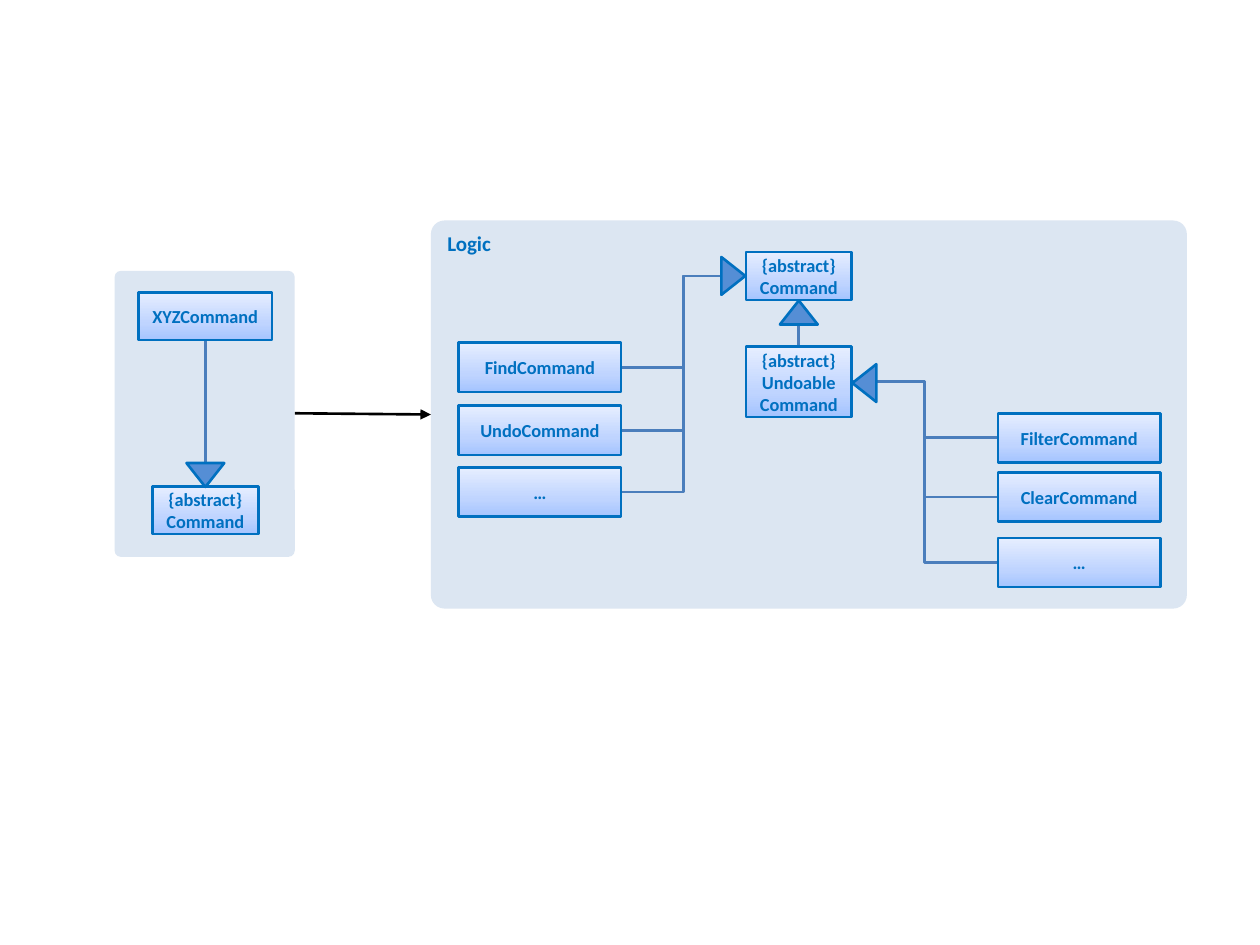
import copy
from dataclasses import dataclass

import pptx
import pptx.dml.color
import pptx.enum.dml
import pptx.enum.shapes
import pptx.enum.text
import pptx.oxml
import pptx.oxml.ns
import pptx.util

SHAPE = pptx.enum.shapes.MSO_SHAPE
CONNECTOR = pptx.enum.shapes.MSO_CONNECTOR
ALIGN = pptx.enum.text.PP_ALIGN
ANCHOR = pptx.enum.text.MSO_ANCHOR
RIGHT, DOWN, LEFT, UP = 90, 180, 270, 0


@dataclass(frozen=True)
class Theme:
    """Colours, type sizes and line width of the diagram."""
    panel: str = "DCE6F2"
    accent: str = "0070C0"
    head: str = "558ED5"
    link: str = "4B7EBC"
    arrow: str = "000000"
    gradient: tuple = ((0, "A4C4FF"), (0.35, "BFD4FF"), (1, "E6EEFF"))
    font: str = "Calibri"
    title: float = 12
    label: float = 10.5
    stroke: float = 1.5


THEME = Theme()


def grid(*cells):
    """Turn grid cells (100 columns by 75 rows on the slide) into lengths."""
    return [pptx.util.Inches(cell / 10) for cell in cells]


def rgb(code):
    """Give the colour object of a hex code."""
    return pptx.dml.color.RGBColor.from_string(code)


def apply(target, values):
    """Set attributes from a dict of format values."""
    for name, value in values.items():
        setattr(target, name, value)


def paint(shape, fill=None, outline=None):
    """Give a shape its plain fill and outline, without a shadow."""
    shape.shadow.inherit = False
    if fill:
        shape.fill.solid()
        shape.fill.fore_color.rgb = rgb(fill)
    if outline:
        shape.line.color.rgb = rgb(outline)
        shape.line.width = pptx.util.Pt(THEME.stroke)
    else:
        shape.line.fill.background()


def write(shape, wording, size, align, anchor):
    """Put bold accent text in a shape."""
    apply(shape.text_frame, {"text": wording, "word_wrap": True,
                             "vertical_anchor": anchor})
    for paragraph in shape.text_frame.paragraphs:
        paragraph.alignment = align
        for run in paragraph.runs:
            apply(run.font, {"name": THEME.font, "size": pptx.util.Pt(size),
                             "bold": True})
            run.font.color.rgb = rgb(THEME.accent)


def add_panel(slide, left, top, width, height, title=None):
    """Add a pale rounded panel, with a title if one is given."""
    panel = slide.shapes.add_shape(SHAPE.ROUNDED_RECTANGLE,
                                   *grid(left, top, width, height))
    panel.adjustments[0] = 0.035
    paint(panel, THEME.panel)
    if title:
        write(panel, title, THEME.title, ALIGN.LEFT, ANCHOR.TOP)


def add_class(slide, name, left, top, width, height):
    """Add a class box with a vertical gradient."""
    box = slide.shapes.add_shape(SHAPE.RECTANGLE,
                                 *grid(left, top, width, height))
    paint(box, outline=THEME.accent)
    box.fill.gradient()
    box.fill.gradient_angle = 90
    stop_list = next(box._element.iter(pptx.oxml.ns.qn("a:gsLst")))
    stop_list.append(copy.deepcopy(stop_list[0]))
    for stop, (position, code) in zip(box.fill.gradient_stops, THEME.gradient):
        stop.position = position
        stop.color.rgb = rgb(code)
    write(box, name, THEME.label, ALIGN.CENTER, ANCHOR.MIDDLE)


def add_head(slide, centre_x, centre_y, direction):
    """Add an inheritance triangle around its centre."""
    width, height = 3, 1.9
    head = slide.shapes.add_shape(
        SHAPE.ISOSCELES_TRIANGLE,
        *grid(centre_x - width / 2, centre_y - height / 2, width, height))
    head.rotation = direction
    paint(head, THEME.head, THEME.accent)


def add_link(slide, start, end, kind=CONNECTOR.ELBOW, color=THEME.link):
    """Add a connector between two grid points."""
    link = slide.shapes.add_connector(kind, *grid(*start, *end))
    link.line.color.rgb = rgb(color)
    link.line.width = pptx.util.Pt(THEME.stroke)
    link._element.spPr.append(pptx.oxml.parse_xml(
        "<a:effectLst %s/>" % pptx.oxml.ns.nsdecls("a")))
    return link


def add_arrow(slide, tip, origin):
    """Add a black arrow that points at its tip."""
    arrow = add_link(slide, tip, origin, CONNECTOR.STRAIGHT, THEME.arrow)
    arrow.line._get_or_add_ln().append(pptx.oxml.parse_xml(
        '<a:headEnd %s type="triangle"/>' % pptx.oxml.ns.nsdecls("a")))


def add_subclasses(slide, names, left, tops, parent, side):
    """Add a column of subclasses, each linked to its parent point."""
    width, height = 12.9, 3.9
    for name, top in zip(names, tops):
        add_link(slide, parent, (left + width * side, top + height / 2))
        add_class(slide, name, left, top, width, height)


def main():
    """Build the command class diagram."""
    deck = pptx.Presentation()
    apply(deck, {"slide_width": pptx.util.Inches(10),
                 "slide_height": pptx.util.Inches(7.5)})
    slide = deck.slides.add_slide(deck.slide_layouts[6])

    add_panel(slide, 9.1, 21.5, 14.3, 22.7)
    add_panel(slide, 34.2, 17.5, 60, 30.8, "Logic")

    add_subclasses(slide, ("FindCommand", "UndoCommand", "…"), 36.4,
                   (27.2, 32.2, 37.1), (59.2, 21.9), side=1)
    add_subclasses(slide, ("FilterCommand", "ClearCommand", "…"), 79.2,
                   (32.8, 37.5, 42.7), (67.6, 30.3), side=0)
    for child, parent in (((63.4, 27.5), (63.4, 23.8)),
                          ((16.3, 27), (16.3, 36.8))):
        add_link(slide, child, parent, CONNECTOR.STRAIGHT)

    command = "{abstract}\vCommand"
    for name, *place in (
            (command, 59.2, 20, 8.4, 3.8),
            ("{abstract}\vUndoable\nCommand", 59.2, 27.5, 8.4, 5.6),
            ("XYZCommand", 11, 23.2, 10.6, 3.8),
            (command, 12.1, 38.6, 8.4, 3.8)):
        add_class(slide, name, *place)

    for head in ((58.2, 21.9, RIGHT), (63.4, 24.8, UP),
                 (68.6, 30.4, LEFT), (16.3, 37.7, DOWN)):
        add_head(slide, *head)

    add_arrow(slide, (34.2, 32.9), (23.4, 32.8))
    deck.save("out.pptx")


main()
